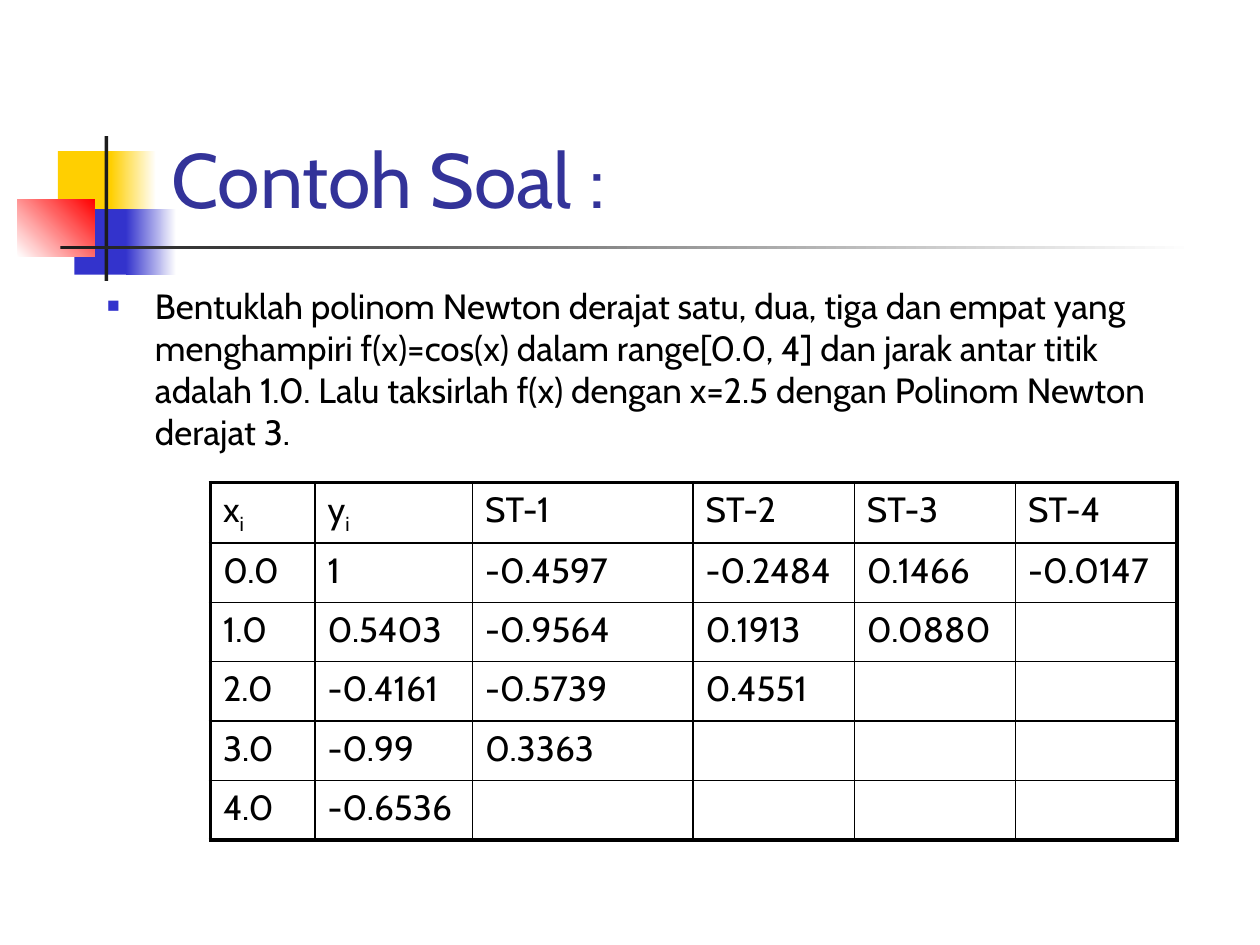
from lxml import etree
from pptx import Presentation
from pptx import util as u
from pptx.dml.color import RGBColor
from pptx.enum import shapes, text
from pptx.oxml.ns import qn

PX = 9144  # EMU per px, 100 px to the inch
FONT = "Cabin"
BLACK, INK, WHITE = "000000", "1C1C1C", "FFFFFF"
YELLOW, BLUE, RED, NAVY = "FFCF01", "3333CC", "FF0000", "333399"


def px(length):
    return u.Emu(length * PX)


def rgb(value):
    return RGBColor.from_string(value)


def add_xml(parent, tag, **attributes):
    return etree.SubElement(parent, qn(tag), attributes)


class SlideBuilder:
    def __init__(self, presentation):
        self.slide = presentation.slides.add_slide(presentation.slide_layouts[1])

    def style(self, paragraph, size, color):
        paragraph.alignment = text.PP_ALIGN.LEFT
        for run in paragraph.runs:
            run.font.name = FONT
            run.font.size = u.Pt(size)
            run.font.color.rgb = rgb(color)

    def block(self, left, top, width, height, color, end=None, angle=0):
        """Rectangle without outline, fading to the end colour if there is one."""
        shape = self.slide.shapes.add_shape(
            shapes.MSO_SHAPE.RECTANGLE, px(left), px(top), px(width), px(height))
        shape.shadow.inherit = False
        shape.line.fill.background()
        if end is None:
            shape.fill.solid()
            shape.fill.fore_color.rgb = rgb(color)
            return
        shape.fill.gradient()
        shape.fill.gradient_angle = angle
        for stop, stop_color in zip(shape.fill.gradient_stops, (color, end)):
            stop.color.rgb = rgb(stop_color)

    def placeholder(self, index, box, words, size, color, anchor):
        shape = self.slide.placeholders[index]
        shape.left, shape.top, shape.width, shape.height = map(px, box)
        frame = shape.text_frame
        frame.text = words
        frame.word_wrap = True
        frame.auto_size = text.MSO_AUTO_SIZE.NONE
        frame.vertical_anchor = anchor
        self.style(frame.paragraphs[0], size, color)
        return frame.paragraphs[0]

    def title(self, box, words):
        self.placeholder(0, box, words, 44, NAVY, text.MSO_ANCHOR.BOTTOM)

    def bullet(self, box, words, indent):
        paragraph = self.placeholder(1, box, words, 20, BLACK, text.MSO_ANCHOR.TOP)
        properties = paragraph._p.get_or_add_pPr()
        properties.set("marL", str(px(indent)))
        properties.set("indent", str(px(-indent)))
        add_xml(add_xml(properties, "a:buClr"), "a:srgbClr", val=BLUE)
        add_xml(properties, "a:buSzPct", val="60000")
        add_xml(properties, "a:buFont", typeface="Arial")
        add_xml(properties, "a:buChar", char="■")

    def borders(self, cell, outer_sides):
        properties = cell._tc.get_or_add_tcPr()
        for side in "LRTB":
            width = u.Pt(2.25 if side in outer_sides else 1)
            line = add_xml(properties, f"a:ln{side}", w=str(width))
            add_xml(add_xml(line, "a:solidFill"), "a:srgbClr", val=BLACK)

    def table(self, left, top, height, widths, rows):
        table = self.slide.shapes.add_table(
            len(rows), len(widths), px(left), px(top), px(sum(widths)), px(height)).table
        table.first_row = table.horz_banding = False
        for column, width in zip(table.columns, widths):
            column.width = px(width)
        for r, row in enumerate(rows):
            table.rows[r].height = px(height) // len(rows)
            for c in range(len(widths)):
                cell = table.cell(r, c)
                outer = {"L": c == 0, "R": c == len(widths) - 1,
                         "T": r == 0, "B": r == len(rows) - 1}
                self.borders(cell, [side for side in outer if outer[side]])
                cell.fill.background()
                self.cell_text(cell, row[c] if c < len(row) else "")

    def cell_text(self, cell, words):
        """An underscore in the words starts a subscript."""
        base, _, subscript = words.partition("_")
        paragraph = cell.text_frame.paragraphs[0]
        if base:
            paragraph.add_run().text = base
        if subscript:
            run = paragraph.add_run()
            run.text = subscript
            run._r.get_or_add_rPr().set("baseline", "-25000")
        self.style(paragraph, 20, BLACK)


def main():
    presentation = Presentation()
    presentation.slide_width, presentation.slide_height = px(1000), px(750)
    builder = SlideBuilder(presentation)

    # Coloured squares and the crossing bars
    builder.block(46, 120, 48, 52, YELLOW)
    builder.block(88, 120, 36, 52, YELLOW, WHITE)
    builder.block(59, 166, 46, 52, BLUE)
    builder.block(100, 166, 40, 52, BLUE, WHITE)
    builder.block(14, 158, 61, 46, WHITE, RED, angle=45)
    builder.block(83, 108, 3, 115, INK)
    builder.block(48, 195, 900, 3, INK, WHITE)

    # Title and problem statement
    builder.title((126, 23, 852, 160), "Contoh Soal :")
    builder.bullet(
        (75, 221, 875, 450),
        "Bentuklah polinom Newton derajat satu, dua, tiga dan empat yang "
        "menghampiri f(x)=cos(x) dalam range[0.0, 4] dan jarak antar titik "
        "adalah 1.0. Lalu taksirlah f(x) dengan x=2.5 dengan Polinom Newton "
        "derajat 3.", indent=38)

    # Divided differences
    builder.table(167, 383, 283, [83, 125, 175, 128, 128, 128], [
        ["x_i", "y_i", "ST-1", "ST-2", "ST-3", "ST-4"],
        ["0.0", "1", "-0.4597", "-0.2484", "0.1466", "-0.0147"],
        ["1.0", "0.5403", "-0.9564", "0.1913", "0.0880"],
        ["2.0", "-0.4161", "-0.5739", "0.4551"],
        ["3.0", "-0.99", "0.3363"],
        ["4.0", "-0.6536"],
    ])
    presentation.save("out.pptx")


if __name__ == "__main__":
    main()
